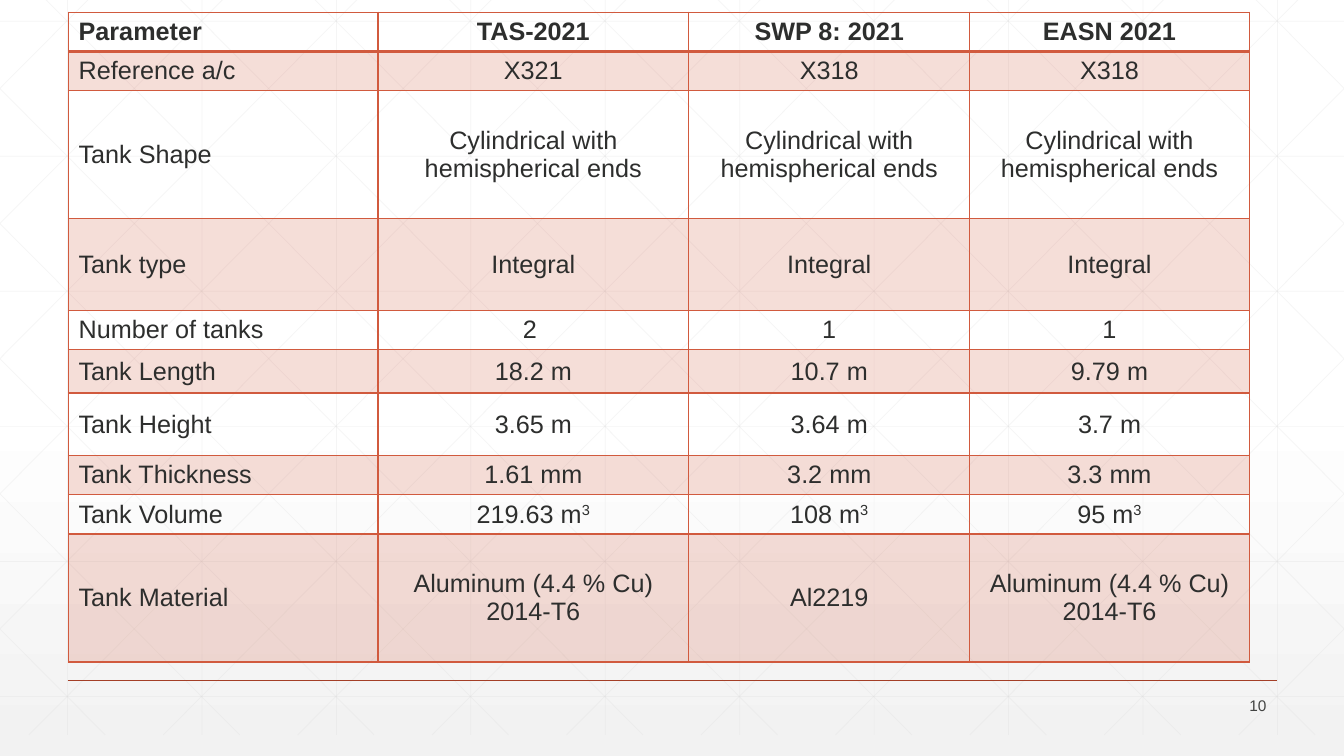
from copy import deepcopy

from pptx import Presentation
from pptx.dml.color import RGBColor
from pptx.enum.shapes import MSO_CONNECTOR
from pptx.enum.text import MSO_ANCHOR, PP_ALIGN
from pptx.oxml import parse_xml
from pptx.oxml.ns import nsdecls, qn
from pptx.oxml.xmlchemy import OxmlElement
from pptx.util import Inches, Pt

STRAIGHT = MSO_CONNECTOR.STRAIGHT
MIDDLE = MSO_ANCHOR.MIDDLE
LEFT, CENTER, RIGHT = PP_ALIGN.LEFT, PP_ALIGN.CENTER, PP_ALIGN.RIGHT

COLORS = {
    "white": "FFFFFF",
    "base": "F2F2F2",
    "mesh": "D9D9D9",
    "rule": "A43F27",
    "rust": "D15A3E",
    "ink": "2D2E2D",
    "page": "424342",
}
WIDE, HIGH = 13.33, 7.5
TOP, LOW = -0.21, 7.29
STEP = 4 / 3
SLANT = 7.46

COLS = [3.07, 3.08, 2.79, 2.77]
HEIGHTS = [0.39, 0.39, 1.27, 0.91, 0.39, 0.43, 0.62, 0.39, 0.39, 1.27]
ENDS = "Cylindrical with hemispherical ends"
ALLOY = "Aluminum (4.4 % Cu) 2014-T6"
ROWS = [
    ["Parameter", "TAS-2021", "SWP 8: 2021", "EASN 2021"],
    ["Reference a/c", "X321", "X318", "X318"],
    ["Tank Shape", ENDS, ENDS, ENDS],
    ["Tank type", "Integral", "Integral", "Integral"],
    ["Number of tanks", "2 ", "1", "1"],
    ["Tank Length", "18.2 m", "10.7 m", "9.79 m"],
    ["Tank Height", "3.65 m", "3.64 m", "3.7 m"],
    ["Tank Thickness", "1.61 mm", "3.2 mm", "3.3 mm"],
    ["Tank Volume", "219.63 m^3", "108 m^3", "95 m^3"],
    ["Tank Material", ALLOY, "Al2219", ALLOY],
]


def tint(name):
    return RGBColor.from_string(COLORS[name])


def fade(node, share):
    alpha = OxmlElement("a:alpha")
    alpha.set("val", str(share * 1000))
    node.find(".//" + qn("a:srgbClr")).append(alpha)


def write(frame, text, size=18, color="ink", bold=False, align=LEFT):
    para = frame.paragraphs[0]
    para.alignment = align
    for spot, part in enumerate(text.split("^")):
        run = para.add_run()
        run.text = part
        font = run.font
        font.name, font.size, font.bold = "Arial", Pt(size), bold
        font.color.rgb = tint(color)
        if spot:
            font._element.set("baseline", "30000")


def draw_line(slide, start, end, color, width, share=100):
    line = slide.shapes.add_connector(
        STRAIGHT, *[Inches(v) for v in (*start, *end)])
    line.line.color.rgb = tint(color)
    line.line.width = Pt(width)
    props = line._element.spPr
    if share < 100:
        fade(props, share)
    props.append(OxmlElement("a:effectLst"))


def paint_back(slide):
    fill = slide.background.fill
    fill.gradient()
    fill.gradient_angle = 270
    stops = slide.element.find(".//" + qn("a:gsLst"))
    stops.append(deepcopy(stops[-1]))
    marks = [(0, "white"), (0.53, "white"), (1, "base")]
    for stop, (place, color) in zip(fill.gradient_stops, marks):
        stop.position = place
        stop.color.rgb = tint(color)


def draw_mesh(slide):
    def mesh(start, end):
        draw_line(slide, start, end, "mesh", 0.5, 25)

    for i in range(10):
        x = 0.67 + i * STEP
        mesh((x, TOP), (x, LOW))
    for i in range(6):
        y = 0.21 + i * 1.34
        mesh((0, y), (WIDE, y))
    slope = (LOW - TOP) / SLANT
    for i in range(-5, 10):
        x = 0.25 + i * STEP
        left, right = max(x, 0), min(x + SLANT, WIDE)
        y1, y2 = TOP + (left - x) * slope, TOP + (right - x) * slope
        mesh((left, y1), (right, y2))
        mesh((WIDE - left, y1), (WIDE - right, y2))


def add_edges(cell, row):
    props = cell._tc.get_or_add_tcPr()
    widths = {"L": 1, "R": 1, "T": 2 if row == 1 else 1,
              "B": 2 if row == 0 else 1}
    for spot, (side, width) in enumerate(widths.items()):
        props.insert(spot, parse_xml(
            f'<a:ln{side} {nsdecls("a")} w="{Pt(width)}"><a:solidFill>'
            f'<a:srgbClr val="{COLORS["rust"]}"/></a:solidFill></a:ln{side}>'))


def style_cell(cell, row):
    cell.vertical_anchor = MIDDLE
    if row % 2:
        cell.fill.solid()
        cell.fill.fore_color.rgb = tint("rust")
        fade(cell._tc.tcPr, 20)
    else:
        cell.fill.background()
    add_edges(cell, row)


def add_tanks(slide):
    table = slide.shapes.add_table(
        len(ROWS), len(COLS), Inches(0.68), Inches(0.12),
        Inches(sum(COLS)), Inches(sum(HEIGHTS))).table
    table.first_row = table.horz_banding = False
    for col, width in zip(table.columns, COLS):
        col.width = Inches(width)
    for r, (texts, height) in enumerate(zip(ROWS, HEIGHTS)):
        table.rows[r].height = Inches(height)
        for c, text in enumerate(texts):
            cell = table.cell(r, c)
            write(cell.text_frame, text, bold=r == 0,
                  align=CENTER if c else LEFT)
            style_cell(cell, r)


def add_page(slide):
    box = slide.shapes.add_textbox(
        Inches(11.66), Inches(6.88), Inches(1), Inches(0.24))
    frame = box.text_frame
    frame.word_wrap = True
    frame.vertical_anchor = MIDDLE
    write(frame, "10", size=11, color="page", align=RIGHT)


def main():
    deck = Presentation()
    deck.slide_width, deck.slide_height = Inches(WIDE), Inches(HIGH)
    slide = deck.slides.add_slide(deck.slide_layouts[6])
    paint_back(slide)
    draw_mesh(slide)
    draw_line(slide, (0.67, 6.75), (12.67, 6.75), "rule", 1)
    add_tanks(slide)
    add_page(slide)
    deck.save("out.pptx")


main()
